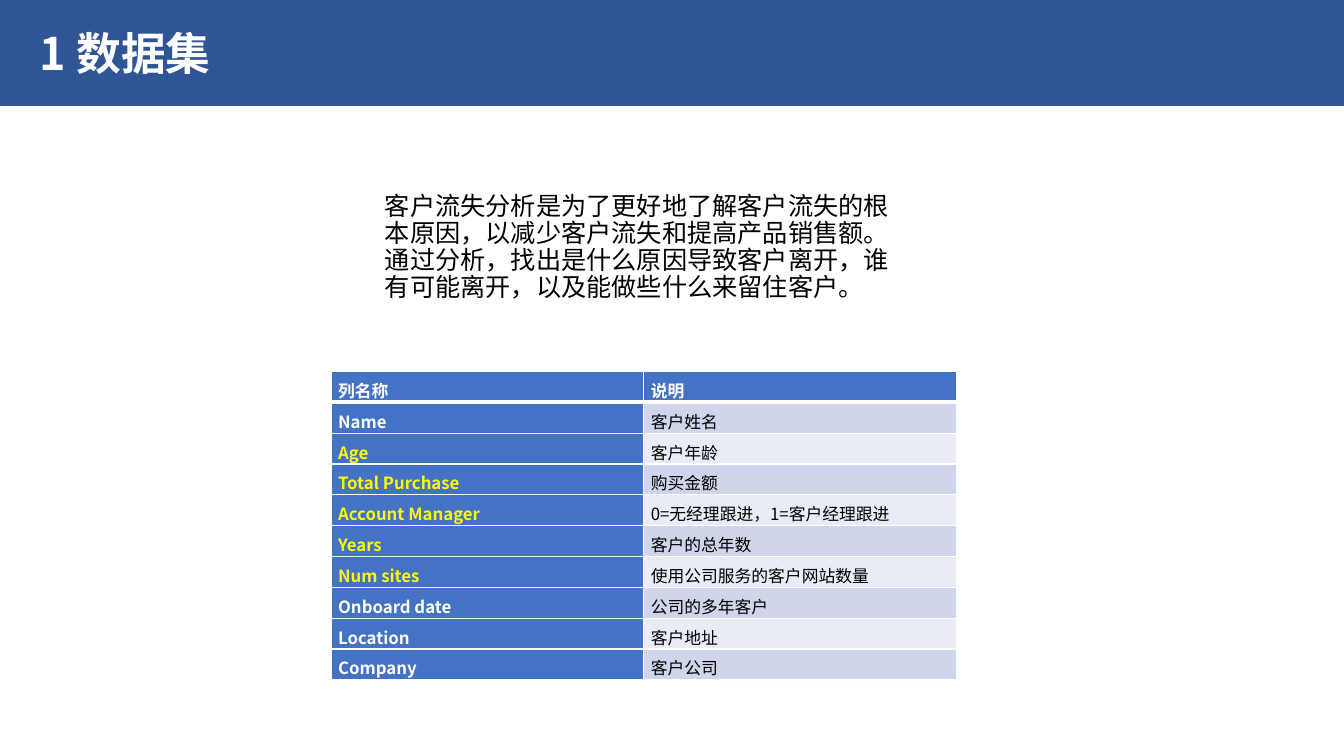
from dataclasses import dataclass

from lxml import etree
from pptx import Presentation
from pptx.dml.color import RGBColor
from pptx.enum.shapes import MSO_SHAPE
from pptx.enum.text import MSO_ANCHOR, PP_ALIGN
from pptx.oxml.ns import qn
from pptx.util import Cm, Pt

RECT = MSO_SHAPE.RECTANGLE
TOP, MIDDLE = MSO_ANCHOR.TOP, MSO_ANCHOR.MIDDLE
LEFT = PP_ALIGN.LEFT
FONT = "Noto Sans CJK SC"
COLORS = {
    "band": "2F5597",
    "head": "4472C4",
    "odd": "CFD5EA",
    "even": "E9EBF5",
    "white": "FFFFFF",
    "black": "000000",
    "key": "FFFF00",
}


@dataclass
class Field:
    name: str
    note: str
    color: str = "white"


FIELDS = [
    Field("列名称", "说明"),
    Field("Name", "客户姓名"),
    Field("Age", "客户年龄", "key"),
    Field("Total Purchase", "购买金额", "key"),
    Field("Account Manager", "0=无经理跟进，1=客户经理跟进", "key"),
    Field("Years", "客户的总年数", "key"),
    Field("Num sites", "使用公司服务的客户网站数量", "key"),
    Field("Onboard date", "公司的多年客户"),
    Field("Location", "客户地址"),
    Field("Company", "客户公司"),
]
INTRO = (
    "客户流失分析是为了更好地了解客户流失的根本原因，以减少客户流失和提高产品销售额。"
    "通过分析，找出是什么原因导致客户离开，谁有可能离开，以及能做些什么来留住客户。"
)


def paint(item, color: str) -> None:
    item.fill.solid()
    item.fill.fore_color.rgb = RGBColor.from_string(COLORS[color])


def write(frame, text: str, *, size: float, color: str, bold: bool = False,
          space=None, before: float = 0) -> None:
    par = frame.paragraphs[0]
    par.alignment = LEFT
    par.space_before = Pt(before)
    if space is not None:
        par.line_spacing = space
    run = par.add_run()
    run.text = text
    font = run.font
    font.name, font.size, font.bold = FONT, Pt(size), bold
    font.color.rgb = RGBColor.from_string(COLORS[color])
    east = etree.SubElement(run._r.get_or_add_rPr(), qn("a:ea"))
    east.set("typeface", FONT)


def edge(cell, side: str, width: float) -> None:
    line = etree.SubElement(cell._tc.get_or_add_tcPr(), qn(f"a:ln{side}"))
    line.set("w", str(Pt(width)))
    fill = etree.SubElement(line, qn("a:solidFill"))
    etree.SubElement(fill, qn("a:srgbClr")).set("val", COLORS["white"])


def draw_cell(cell, text: str, *, fill: str, color: str, bold: bool,
              upper: float, lower: float) -> None:
    for side, width in (("L", 1), ("R", 1), ("T", upper), ("B", lower)):
        edge(cell, side, width)
    paint(cell, fill)
    cell.margin_left = cell.margin_right = Cm(0.18)
    cell.margin_top = cell.margin_bottom = Cm(0)
    cell.vertical_anchor = TOP
    write(cell.text_frame, text, size=12, color=color, bold=bold, space=Pt(22))


def draw_intro(slide) -> None:
    box = slide.shapes.add_textbox(Cm(8.81), Cm(4.75), Cm(14.3), Cm(12.09))
    frame = box.text_frame
    frame.word_wrap = True
    frame.margin_left = Cm(0.89)
    write(frame, INTRO, size=18, color="black", space=0.9, before=10)


def draw_title(slide, width) -> None:
    band = slide.shapes.add_shape(RECT, 0, 0, width, Cm(2.67))
    band.shadow.inherit = False
    paint(band, "band")
    band.line.fill.background()
    frame = band.text_frame
    frame.vertical_anchor = MIDDLE
    frame.margin_left = Cm(1)
    write(frame, "1 数据集", size=32, color="white", bold=True)


def draw_table(slide) -> None:
    count = len(FIELDS)
    table = slide.shapes.add_table(
        count, 2, Cm(8.34), Cm(9.36), Cm(15.76), Cm(0.75 * count)).table
    table.first_col = True
    for index, field in enumerate(FIELDS):
        head = index == 0
        upper = 3 if index == 1 else 1
        lower = 3 if head else 1
        stripe = "odd" if index % 2 else "even"
        draw_cell(table.cell(index, 0), field.name, fill="head",
                  color=field.color, bold=True, upper=upper, lower=lower)
        draw_cell(table.cell(index, 1), field.note,
                  fill="head" if head else stripe,
                  color="white" if head else "black",
                  bold=head, upper=upper, lower=lower)


def main() -> None:
    deck = Presentation()
    deck.slide_width, deck.slide_height = Cm(33.87), Cm(19.05)
    slide = deck.slides.add_slide(deck.slide_layouts[6])
    draw_intro(slide)
    draw_title(slide, deck.slide_width)
    draw_table(slide)
    deck.save("out.pptx")


if __name__ == "__main__":
    main()
